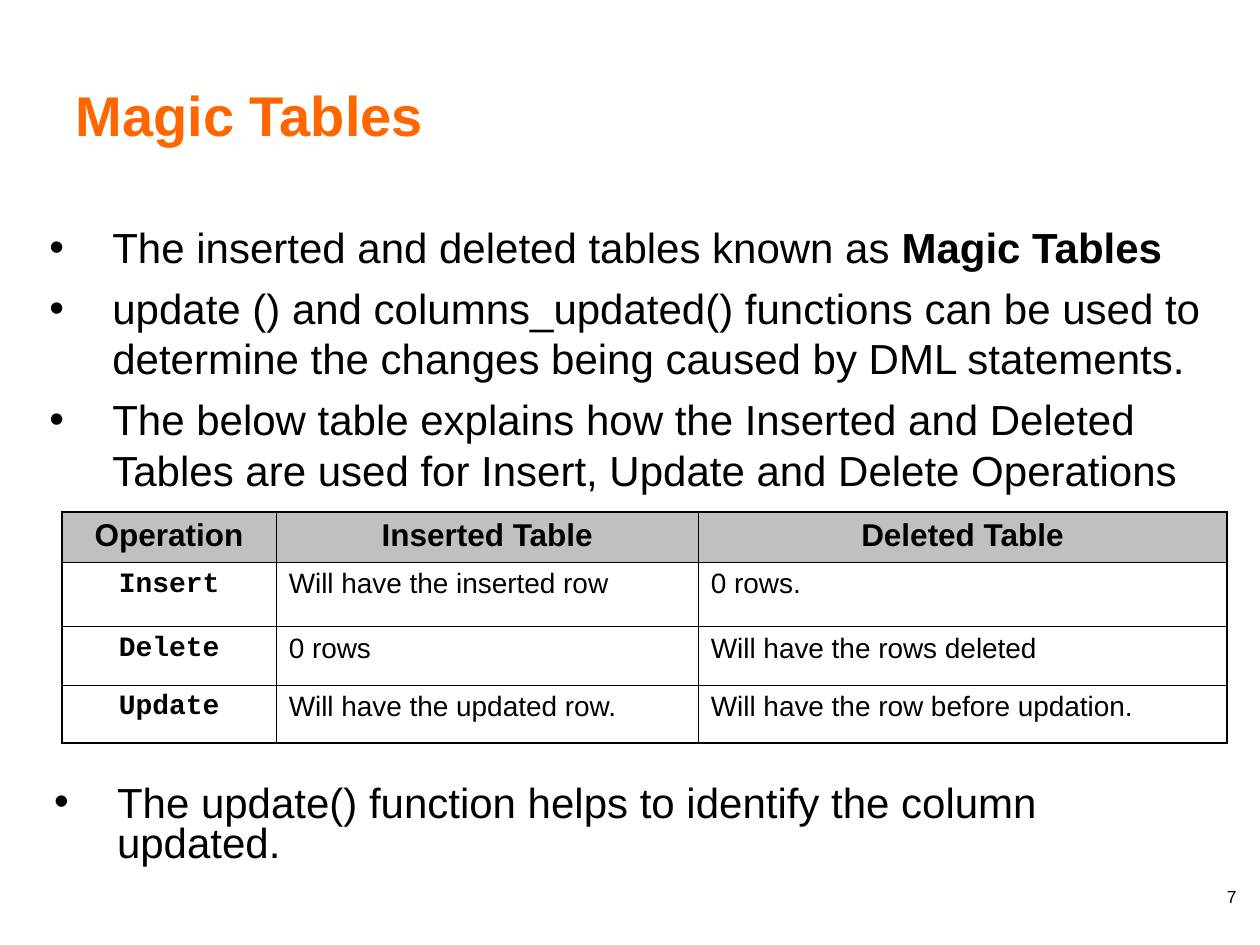
from dataclasses import dataclass

from lxml.etree import SubElement
from pptx import Presentation
from pptx.dml.color import RGBColor
from pptx.enum.text import MSO_ANCHOR, MSO_AUTO_SIZE, PP_ALIGN
from pptx.oxml.ns import qn
from pptx.util import Pt


@dataclass(frozen=True)
class Theme:
    sans: str = "Arial"
    mono: str = "Courier New"
    ink: RGBColor = RGBColor(0, 0, 0)
    title: RGBColor = RGBColor(0xFF, 0x66, 0)
    head: RGBColor = RGBColor(0xC0, 0xC0, 0xC0)
    big: int = 32
    body: int = 24
    label: int = 18
    cell: int = 16
    small: int = 10
    thin: float = 0.45
    thick: float = 1.08


THEME = Theme()

POINTS = [
    [("The inserted and deleted tables known as ", False), ("Magic Tables", True)],
    [("update () and columns_updated() functions can be used to determine "
      "the changes being caused by DML statements.", False)],
    [("The below table explains how the Inserted and Deleted Tables are used "
      "for Insert, Update and Delete Operations", False)],
]
NOTE = "The update() function helps to identify the column updated."
ROWS = [
    ["Operation", "Inserted Table", "Deleted Table"],
    ["Insert", "Will have the inserted row", "0 rows."],
    ["Delete", "0 rows", "Will have the rows deleted"],
    ["Update", "Will have the updated row.", "Will have the row before updation."],
]
WIDTHS = [122.4, 241.2, 302]
HEIGHTS = [28.8, 36.7, 33.4, 33.2]


def style(para, size, color=THEME.ink, bold=None, face=THEME.sans):
    font = para.font
    font.name, font.size, font.bold = face, Pt(size), bold
    font.color.rgb = color


def place(shape, box):
    shape.left, shape.top, shape.width, shape.height = map(Pt, box)


def bullet(para, indent=36):
    props = para._p.get_or_add_pPr()
    props.set("marL", str(Pt(indent)))
    props.set("indent", str(-Pt(indent)))
    SubElement(props, qn("a:buFont"), typeface=THEME.sans)
    SubElement(props, qn("a:buChar"), char="•")


def add_title(slide, box):
    shape = slide.shapes.title
    place(shape, box)
    frame = shape.text_frame
    frame.auto_size = MSO_AUTO_SIZE.NONE
    frame.vertical_anchor = MSO_ANCHOR.BOTTOM
    frame.text = "Magic Tables"
    para = frame.paragraphs[0]
    para.alignment = PP_ALIGN.LEFT
    style(para, THEME.big, THEME.title, True)


def add_list(slide, box):
    shape = slide.placeholders[1]
    place(shape, box)
    frame = shape.text_frame
    frame.auto_size = MSO_AUTO_SIZE.NONE
    for i, parts in enumerate(POINTS):
        para = frame.add_paragraph() if i else frame.paragraphs[0]
        bullet(para)
        para.space_before = Pt(6 if i else 0)
        style(para, THEME.body)
        for text, bold in parts:
            run = para.add_run()
            run.text = text
            if bold:
                run.font.bold = True


def add_text(slide, box):
    shape = slide.shapes.add_textbox(*map(Pt, box))
    frame = shape.text_frame
    frame.word_wrap = True
    return frame.paragraphs[0]


def add_note(slide, box):
    para = add_text(slide, box)
    para.text = NOTE
    bullet(para)
    para.line_spacing = 0.8
    style(para, THEME.body)


def add_number(slide, box):
    para = add_text(slide, box)
    para.text = "7"
    para.alignment = PP_ALIGN.RIGHT
    style(para, THEME.small)


def edge(cell, outer):
    """Rule the four sides of a cell, thick where outer is true."""
    props = cell._tc.get_or_add_tcPr()
    for i, (side, thick) in enumerate(zip("LRTB", outer)):
        width = THEME.thick if thick else THEME.thin
        line = props.makeelement(qn(f"a:ln{side}"), {"w": str(Pt(width))})
        fill = SubElement(line, qn("a:solidFill"))
        SubElement(fill, qn("a:srgbClr"), val=str(THEME.ink))
        props.insert(i, line)


def add_grid(slide, box):
    rows, cols = len(ROWS), len(WIDTHS)
    table = slide.shapes.add_table(rows, cols, *map(Pt, box)).table
    table.horz_banding = False
    for col, width in zip(table.columns, WIDTHS):
        col.width = Pt(width)
    for r, texts in enumerate(ROWS):
        table.rows[r].height = Pt(HEIGHTS[r])
        for c, text in enumerate(texts):
            cell = table.cell(r, c)
            cell.text = text
            if r == 0:
                cell.fill.solid()
                cell.fill.fore_color.rgb = THEME.head
            else:
                cell.fill.background()
            edge(cell, (c == 0, c == cols - 1, r == 0, r == rows - 1))
            key = r == 0 or c == 0
            para = cell.text_frame.paragraphs[0]
            para.alignment = PP_ALIGN.CENTER if key else PP_ALIGN.LEFT
            style(para, THEME.cell if r else THEME.label, bold=key,
                  face=THEME.mono if r and c == 0 else THEME.sans)


def main():
    deck = Presentation()
    deck.slide_width, deck.slide_height = Pt(720), Pt(540)
    slide = deck.slides.add_slide(deck.slide_layouts[1])
    add_title(slide, (36, 16, 642, 72))
    add_list(slide, (21, 123, 699, 347))
    add_grid(slide, (35.4, 292.6, sum(WIDTHS), sum(HEIGHTS)))
    add_note(slide, (23.8, 445.7, 674.6, 53.3))
    add_number(slide, (545.8, 502.6, 167.8, 37.4))
    deck.save("out.pptx")


if __name__ == "__main__":
    main()
